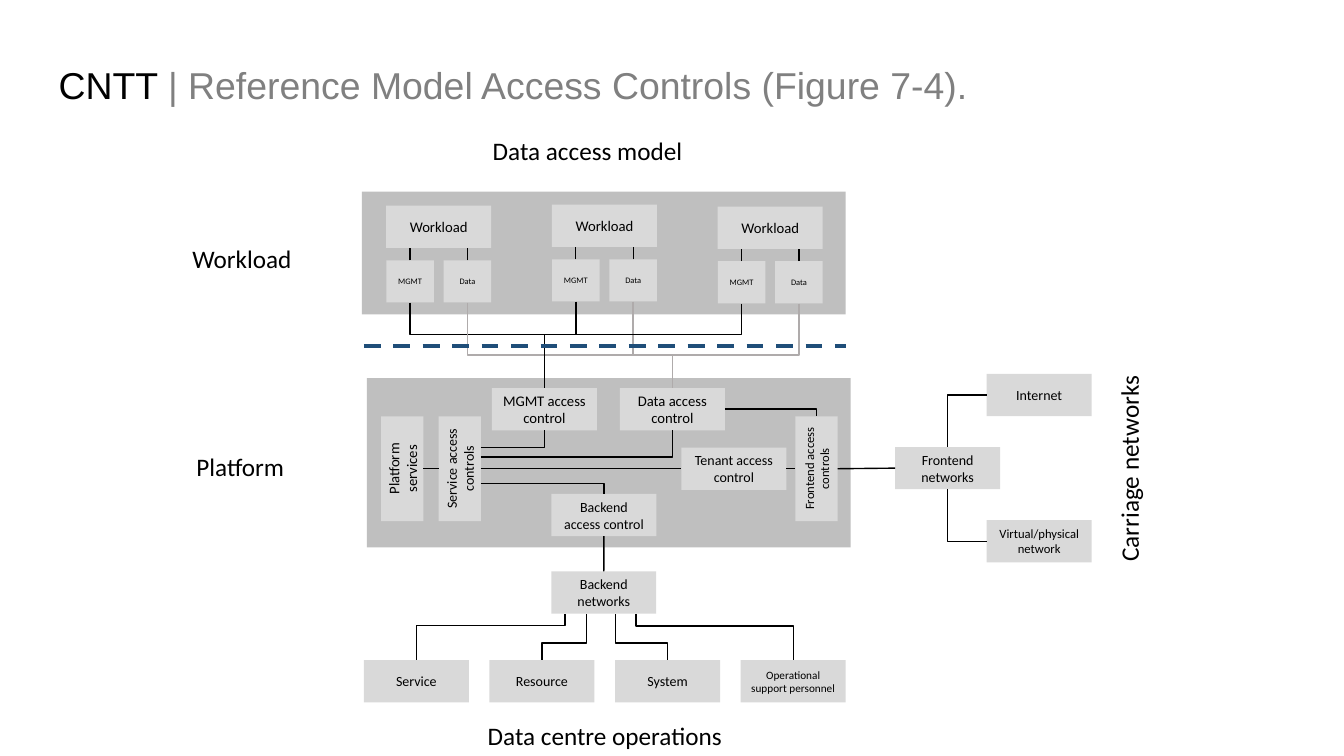
from pptx import Presentation
from pptx.dml.color import RGBColor
from pptx.enum.dml import MSO_LINE
from pptx.enum.shapes import MSO_CONNECTOR as LINK, MSO_SHAPE
from pptx.enum.text import MSO_ANCHOR as ANCHOR, PP_ALIGN as ALIGN
from pptx.oxml.ns import qn
from pptx.util import Pt
from lxml.etree import SubElement

COLORS = {"black": "000000", "title": "808080", "panel": "BFBFBF", "box": "D9D9D9",
          "data": "AFABAB", "divider": "1F4E79"}
BOX_W, BOX_H = 75, 30.2
SMALL_W = 34


def rgb(name):
    return RGBColor.from_string(COLORS[name])


def write(paragraph, text, size=10, font="Calibri", color="black", align=ALIGN.CENTER):
    paragraph.alignment = align
    run = paragraph.add_run()
    run.text = text
    run.font.size, run.font.name = Pt(size), font
    run.font.color.rgb = rgb(color)


def add_box(shapes, x, y, text="", width=BOX_W, height=BOX_H, color="box", rotation=0, size=10):
    shape = shapes.add_shape(MSO_SHAPE.RECTANGLE, Pt(x), Pt(y), Pt(width), Pt(height))
    shape.shadow.inherit = False
    shape.fill.solid()
    shape.fill.fore_color.rgb = rgb(color)
    shape.line.fill.background()
    shape.rotation = rotation
    if text:
        shape.text_frame.word_wrap = True
        shape.text_frame.vertical_anchor = ANCHOR.MIDDLE
        write(shape.text_frame.paragraphs[0], text, size=size)
    return shape


def add_label(slide, text, x, y, width, rotation=0):
    label = slide.shapes.add_textbox(Pt(x), Pt(y), Pt(width), Pt(28.8))
    label.rotation = rotation
    label.text_frame.word_wrap = False
    write(label.text_frame.paragraphs[0], text, size=18, align=ALIGN.LEFT)


def edge(shape, side, shift=0):
    """Point in the middle of one visible side, moved along it by shift."""
    x = shape.left.pt + shape.width.pt / 2
    y = shape.top.pt + shape.height.pt / 2
    half_w, half_h = shape.width.pt / 2, shape.height.pt / 2
    if shape.rotation:
        half_w, half_h = half_h, half_w
    return {"top": (x + shift, y - half_h), "bottom": (x + shift, y + half_h),
            "left": (x - half_w, y + shift), "right": (x + half_w, y + shift)}[side]


# Connectors
def add_line(shapes, start, end, color="black", width=1, kind=LINK.STRAIGHT):
    connector = shapes.add_connector(kind, *(Pt(value) for value in (*start, *end)))
    connector.line.color.rgb = rgb(color)
    connector.line.width = Pt(width)
    SubElement(connector._element.spPr, qn("a:effectLst"))
    return connector


def add_corner(shapes, start, end):
    """Runs sideways from start, then up or down to end."""
    connector = add_line(shapes, start, end, kind=LINK.ELBOW)
    connector._element.spPr.find(qn("a:prstGeom")).set("prst", "bentConnector2")


def add_step(shapes, start, end, bend_y, color="black"):
    """Runs down from start, sideways at bend_y, and down to end."""
    (x1, y1), (x2, y2) = start, end
    middle_x, middle_y = (x1 + x2) / 2, (y1 + y2) / 2
    half_w, half_h = (y2 - y1) / 2, (x1 - x2) / 2
    connector = add_line(shapes, (middle_x - half_w, middle_y - half_h),
                         (middle_x + half_w, middle_y + half_h), color, kind=LINK.ELBOW)
    properties = connector._element.spPr
    properties.find(qn("a:xfrm")).set("rot", "5400000")
    adjustments = properties.find(qn("a:prstGeom")).find(qn("a:avLst"))
    bend = round((bend_y - y1) / (y2 - y1) * 100000)
    SubElement(adjustments, qn("a:gd"), name="adj1", fmla=f"val {bend}")


# Regions
def build_title(slide, x, y, width, height):
    title = slide.shapes.title
    title.left, title.top, title.width, title.height = Pt(x), Pt(y), Pt(width), Pt(height)
    frame = title.text_frame
    frame.word_wrap = True
    frame.vertical_anchor = ANCHOR.TOP
    frame.margin_top = Pt(6)
    for text, color in (("CNTT ", "black"),
                        ("| Reference Model Access Controls (Figure 7-4).", "title")):
        write(frame.paragraphs[0], text, size=26.7, font="Arial", color=color, align=ALIGN.LEFT)


def build_workload(slide, x, y):
    group = slide.shapes.add_group_shape().shapes
    workload = add_box(group, x, y, "Workload", size=10.5)
    ports = []
    for name, offset in (("MGMT", 0), ("Data", BOX_W - SMALL_W)):
        port = add_box(group, x + offset, y + 39, name, width=SMALL_W, size=6)
        top = edge(port, "top")
        add_line(group, top, (top[0], edge(workload, "bottom")[1]))
        ports.append(port)
    return ports


def build_workloads(slide, x, y, width, height):
    add_box(slide.shapes, x, y, width=width, height=height, color="panel")
    return [build_workload(slide, x + 17.4 + 118.4 * index, y + top)
            for index, top in enumerate((10.1, 9.4, 10.8))]


def build_platform(slide, x, y, width, height):
    shapes = slide.shapes
    add_box(shapes, x, y, width=width, height=height, color="panel")
    middle = y + 49.7
    management = add_box(shapes, x + 89.3, y + 7.2, "MGMT access control", size=10.5)
    data = add_box(shapes, x + 180.7, y + 7.2, "Data access control", size=10.5)
    services = add_box(shapes, x - 12.2, middle, "Platform services", rotation=270, size=10.5)
    access = add_box(shapes, x + 28.8, middle, "Service access controls", rotation=270)
    backend = add_box(shapes, x + 131.8, y + 82.8, "Backend access control")
    tenant = add_box(shapes, x + 224.6, middle, "Tenant access control")
    frontend = add_box(shapes, x + 283.7, middle, "Frontend access controls", rotation=270, size=9)

    add_line(shapes, edge(services, "right"), edge(access, "left"))
    add_line(shapes, edge(access, "right"), edge(tenant, "left"))
    add_line(shapes, edge(tenant, "right"), edge(frontend, "left"))
    add_corner(shapes, edge(access, "right", -15), edge(management, "bottom"))
    add_corner(shapes, edge(access, "right", -8.2), edge(data, "bottom"))
    add_corner(shapes, edge(access, "right", 10.4), edge(backend, "top"))
    add_corner(shapes, edge(data, "right"), edge(frontend, "top"))
    return management, data, backend, frontend


def build_carriage(slide, x, y, width, height):
    shapes = slide.shapes
    right, bottom = x + width - BOX_W, y + height - BOX_H
    networks = add_box(shapes, x, (y + bottom) / 2, "Frontend networks")
    internet = add_box(shapes, right, y, "Internet")
    virtual = add_box(shapes, right, bottom, "Virtual/physical network", size=9)
    add_corner(shapes, edge(internet, "left"), edge(networks, "top"))
    add_corner(shapes, edge(virtual, "left"), edge(networks, "bottom"))
    return networks


def build_operations(slide, x, y, width, height):
    shapes = slide.shapes
    networks = add_box(shapes, x + 133.9, y, "Backend networks")
    step = (width - BOX_W) / 3
    users = (("Service", 10, -27.8, 8.6), ("Resource", 10, -12.3, 20.9),
             ("System", 10, 8.5, 20.9), ("Operational support personnel", 8, 23, 8.6))
    for index, (name, size, shift, drop) in enumerate(users):
        user = add_box(shapes, x + index * step, y + height - BOX_H, name, size=size)
        start = edge(networks, "bottom", shift)
        add_step(shapes, start, edge(user, "top"), start[1] + drop)
    return networks


def build_links(slide, workloads, management, data):
    for management_port, data_port in workloads:
        add_step(slide.shapes, edge(management_port, "bottom"), edge(management, "top"), 239)
        add_step(slide.shapes, edge(data_port, "bottom"), edge(data, "top"), 253.6, "data")


def main():
    presentation = Presentation()
    presentation.slide_width, presentation.slide_height = Pt(960), Pt(540)
    slide = presentation.slides.add_slide(presentation.slide_layouts[5])
    build_title(slide, 34.6, 38.2, 784.8, 46.1)
    workloads = build_workloads(slide, 258.5, 136.8, 345.6, 87.8)
    management, data, backend, frontend = build_platform(slide, 262.1, 270, 345.6, 121)
    carriage = build_carriage(slide, 639.4, 267.1, 140.4, 134.6)
    operations = build_operations(slide, 259.9, 408.2, 344.2, 93.6)

    # Links between regions
    build_links(slide, workloads, management, data)
    add_line(slide.shapes, edge(backend, "bottom"), edge(operations, "top"))
    add_line(slide.shapes, edge(frontend, "right"), edge(carriage, "left"))

    # Region names and divider
    add_label(slide, "Workload", 130.3, 170.6, 86.4)
    add_label(slide, "Platform", 133.2, 319, 78.5)
    add_label(slide, "Data centre operations", 341.3, 511.2, 183.6)
    add_label(slide, "Data access model", 344.9, 92.9, 155.5)
    add_label(slide, "Carriage networks", 732.2, 319.7, 148.3, rotation=270)
    divider = add_line(slide.shapes, (259.9, 247), (604.1, 247), "divider", width=3)
    divider.line.dash_style = MSO_LINE.DASH
    presentation.save("out.pptx")


if __name__ == "__main__":
    main()
